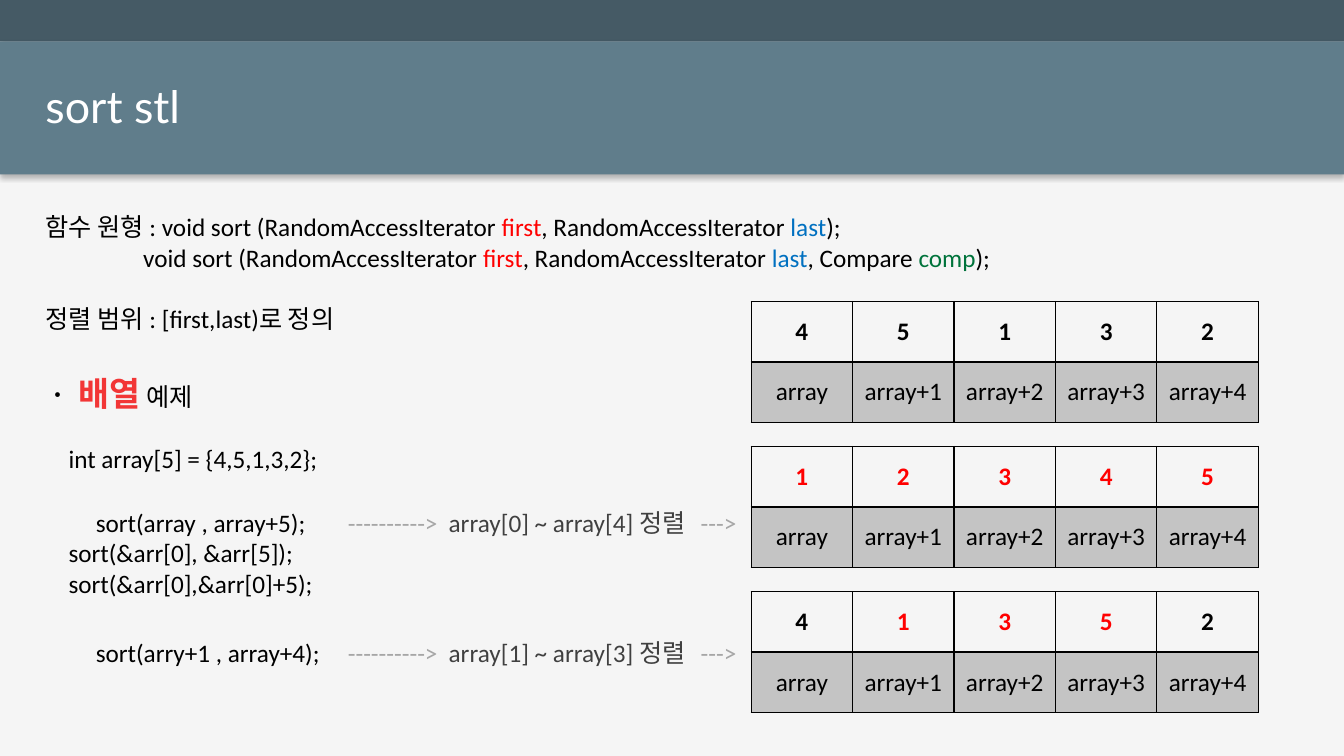
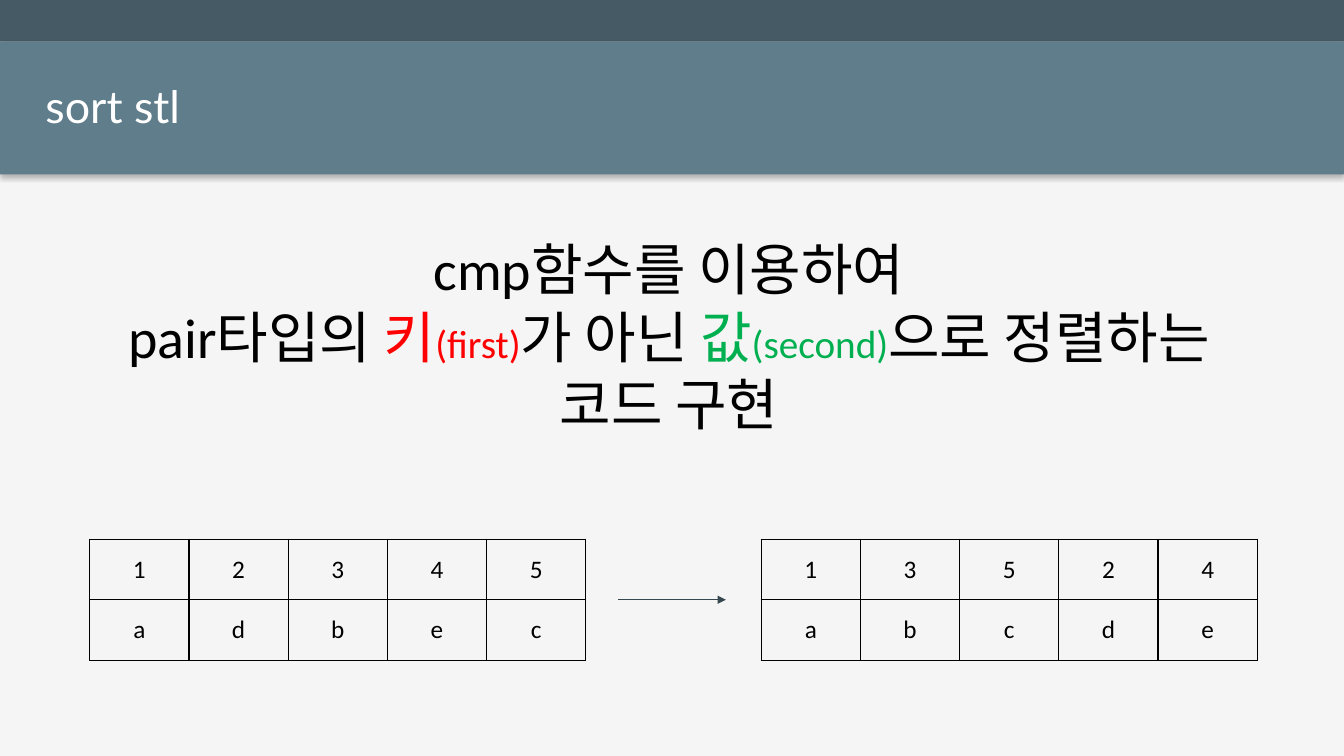
from dataclasses import dataclass

from lxml import etree
from pptx import Presentation
from pptx.dml.color import RGBColor
from pptx.enum.shapes import MSO_CONNECTOR, MSO_SHAPE
from pptx.enum.text import MSO_ANCHOR, MSO_AUTO_SIZE, PP_ALIGN
from pptx.oxml.ns import qn
from pptx.util import Inches, Pt

RECT = MSO_SHAPE.RECTANGLE
STRAIGHT = MSO_CONNECTOR.STRAIGHT
LEFT, CENTER = PP_ALIGN.LEFT, PP_ALIGN.CENTER
TOP, MIDDLE = MSO_ANCHOR.TOP, MSO_ANCHOR.MIDDLE
NO_AUTOFIT = MSO_AUTO_SIZE.NONE


@dataclass(frozen=True)
class Theme:
    background: str = "F5F5F5"
    top_band: str = "455A65"
    title_band: str = "607D8B"
    white: str = "FFFFFF"
    black: str = "000000"
    red: str = "FF0000"
    bright_red: str = "F23636"
    blue: str = "0070C0"
    dark_green: str = "00733B"
    green: str = "00B050"
    pale_gray: str = "A6A6A6"
    dark_gray: str = "404040"
    cell_gray: str = "C4C4C4"
    arrow: str = "37474F"
    title_font: str = "Lato"
    body_font: str = "Calibri"
    title_size: int = 32
    body_size: int = 18
    key_size: int = 24
    note_size: int = 28
    task_size: int = 40


T = Theme()


@dataclass(frozen=True)
class Span:
    text: str
    color: str | None = None
    size: int | None = None
    bold: bool | None = None


@dataclass(frozen=True)
class Line:
    spans: tuple[Span, ...]
    before: float = 0
    margin: float = 0
    hanging: float = 0
    tabs: tuple[float, ...] = ()
    bullet: str = ""
    size: int = T.body_size
    align: PP_ALIGN = LEFT


@dataclass(frozen=True)
class Grid:
    left: float
    top: float
    width: float
    rows: tuple[tuple[str, ...], ...]
    row_height: float = 0.6
    red_values: str = ""
    indexed: bool = False  # bold values above a shaded row of addresses


def rgb(color: str) -> RGBColor:
    return RGBColor.from_string(color)


def sub(parent, tag: str, **attrs):
    return etree.SubElement(parent, qn(tag), {k: str(v) for k, v in attrs.items()})


def place(sp, left: float, top: float, width: float, height: float) -> None:
    sp.left, sp.top = Inches(left), Inches(top)
    sp.width, sp.height = Inches(width), Inches(height)


def style_font(font, name: str, size: int, color: str) -> None:
    font.name, font.size = name, Pt(size)
    font.color.rgb = rgb(color)


def add_shared_bands(slide) -> None:
    """Draw the two header bands and move them behind the layout's title."""
    title = slide.slide_layout.placeholders[0].element
    for top, height, color in ((0, 0.41, T.top_band), (0.41, 1.32, T.title_band)):
        sp = slide.shapes.add_shape(
            RECT, 0, Inches(top), Inches(13.33), Inches(height))
        sp.fill.solid()
        sp.fill.fore_color.rgb = rgb(color)
        sp.line.fill.background()
        sp.shadow.inherit = False
        effects = sp.element.spPr.find(qn("a:effectLst"))
        shadow = sub(effects, "a:outerShdw", blurRad=Pt(4), dist=Pt(2),
                     dir=90 * 60000, algn="t", rotWithShape=0)
        shade = sub(shadow, "a:srgbClr", val=T.black)
        sub(shade, "a:alpha", val=30000)
        title.addprevious(sp.element)


def set_title(slide, text: str) -> None:
    sp = slide.shapes.title
    place(sp, 0.35, 0.73, 12.4, 0.64)
    tf = sp.text_frame
    tf.auto_size, tf.vertical_anchor = NO_AUTOFIT, MIDDLE
    tf.text = text
    p = tf.paragraphs[0]
    p.alignment = LEFT
    style_font(p.font, T.title_font, T.title_size, T.white)


def format_line(p, line: Line) -> None:
    """Set spacing, indents, bullet and tab stops, in schema order."""
    p.alignment = line.align
    p.line_spacing = 1.0
    p.space_before, p.space_after = Pt(line.before), Pt(0)
    ppr = p._p.get_or_add_pPr()
    ppr.set("marL", str(Inches(line.margin)))
    ppr.set("indent", str(-Inches(line.hanging)))
    if line.bullet:
        sub(sub(ppr, "a:buClr"), "a:srgbClr", val=T.black)
        sub(ppr, "a:buFont", typeface=T.body_font)
        sub(ppr, "a:buChar", char=line.bullet)
    else:
        sub(ppr, "a:buNone")
    if line.tabs:
        stops = sub(ppr, "a:tabLst")
        for stop in line.tabs:
            sub(stops, "a:tab", pos=Inches(stop), algn="l")
    style_font(p.font, T.body_font, line.size, T.black)


def set_body(slide, box: tuple[float, float, float, float],
             lines: tuple[Line, ...]) -> None:
    sp = slide.placeholders[1]
    place(sp, *box)
    tf = sp.text_frame
    tf.word_wrap, tf.auto_size, tf.vertical_anchor = True, NO_AUTOFIT, TOP
    for i, line in enumerate(lines):
        p = tf.add_paragraph() if i else tf.paragraphs[0]
        format_line(p, line)
        for span in line.spans:
            r = p.add_run()
            r.text = span.text
            if span.color:
                r.font.color.rgb = rgb(span.color)
            if span.size:
                r.font.size = Pt(span.size)
            if span.bold is not None:
                r.font.bold = span.bold


def set_borders(cell, top: float, bottom: float) -> None:
    tcpr = cell._tc.get_or_add_tcPr()
    for side, width in (("L", 1), ("R", 1), ("T", top), ("B", bottom)):
        ln = sub(tcpr, f"a:ln{side}", w=Pt(width))
        sub(sub(ln, "a:solidFill"), "a:srgbClr", val=T.black)


def add_grid(slide, grid: Grid) -> None:
    n_rows, n_cols = len(grid.rows), len(grid.rows[0])
    table = slide.shapes.add_table(
        n_rows, n_cols, Inches(grid.left), Inches(grid.top),
        Inches(grid.width), Inches(grid.row_height * n_rows)).table
    table.first_row = table.horz_banding = False
    divider = 2 if grid.indexed else 1
    for i, values in enumerate(grid.rows):
        for j, value in enumerate(values):
            cell = table.cell(i, j)
            set_borders(cell, divider if i else 1, 1 if i else divider)
            if grid.indexed and i:
                cell.fill.solid()
                cell.fill.fore_color.rgb = rgb(T.cell_gray)
            else:
                cell.fill.background()
            cell.vertical_anchor = MIDDLE
            cell.text = value
            p = cell.text_frame.paragraphs[0]
            p.alignment = CENTER
            color = T.red if value in grid.red_values else T.black
            style_font(p.font, T.body_font, T.body_size, color)
            p.font.bold = grid.indexed and i == 0


def add_arrow(slide, x1: float, x2: float, y: float) -> None:
    line = slide.shapes.add_connector(
        STRAIGHT, Inches(x1), Inches(y), Inches(x2), Inches(y))
    line.line.color.rgb = rgb(T.arrow)
    line.line.width = Pt(0.5)
    sub(line.line._get_or_add_ln(), "a:tailEnd", type="triangle")
    sub(line.element.spPr, "a:effectLst")


def signature(lead: str) -> tuple[Span, ...]:
    return (Span(f"{lead}void sort (RandomAccessIterator "), Span("first", T.red),
            Span(", RandomAccessIterator "), Span("last", T.blue))


def explained(code: str, result: str) -> tuple[Span, ...]:
    """A call, an arrow to its meaning and an arrow to its table."""
    return (Span(f"\t{code}"), Span("\t---------->", T.pale_gray),
            Span(f"\t{result} 정렬", T.dark_gray), Span("\t--->", T.pale_gray))


def build_array_slide(slide) -> None:
    code = 0.23
    set_title(slide, "sort stl")
    set_body(slide, (0.35, 2.05, 12.27, 5.44), (
        Line(signature("함수 원형 : ") + (Span(");"),)),
        Line(signature("") + (Span(", Compare "), Span("comp", T.dark_green),
                              Span(");")), margin=0.97),
        Line((Span("정렬 범위 : [first,last)로 정의"),), before=22),
        Line((Span("배열", T.bright_red, T.key_size, True), Span(" 예제")),
             before=28, margin=0.33, hanging=0.25, bullet="·"),
        Line((Span("int array[5] = {4,5,1,3,2};"),), before=22, margin=code),
        Line(explained("sort(array , array+5);", "array[0] ~ array[4]"),
             before=24, tabs=(code, 2.58, 3.65, 6.33)),
        Line((Span("sort(&arr[0], &arr[5]);"),), margin=code),
        Line((Span("sort(&arr[0],&arr[0]+5);"),), margin=code),
        Line(explained("sort(arry+1 , array+4);", "array[1] ~ array[3]"),
             before=28, tabs=(code, 2.62, 3.73, 6.34)),
    ))
    addresses = ("array",) + tuple(f"array+{i}" for i in range(1, 5))
    states = (("45132", ""), ("12345", "12345"), ("41352", "135"))
    for i, (values, red_values) in enumerate(states):
        add_grid(slide, Grid(7.45, 2.99 + 1.44 * i, 5.03,
                             (tuple(values), addresses),
                             red_values=red_values, indexed=True))


def build_pair_slide(slide) -> None:
    set_title(slide, "sort stl")
    task = (
        (Span("cmp함수를 이용하여"),),
        (Span("pair타입의 "), Span("키", T.red), Span("(first)", T.red, T.note_size),
         Span("가 아닌 "), Span("값", T.green),
         Span("(second)", T.green, T.note_size), Span("으로 정렬하는")),
        (Span("코드 구현"),),
    )
    set_body(slide, (0.13, 2.28, 13.01, 2.12), tuple(
        Line(spans, size=T.task_size, align=CENTER) for spans in task))
    for left, keys, values in ((0.89, "12345", "adbec"), (7.55, "13524", "abcde")):
        add_grid(slide, Grid(left, 5.35, 4.92, (tuple(keys), tuple(values))))
    add_arrow(slide, 6.13, 7.2, 5.95)


def main() -> None:
    prs = Presentation()
    prs.slide_width, prs.slide_height = Inches(13.33), Inches(7.5)
    fill = prs.slide_master.background.fill
    fill.solid()
    fill.fore_color.rgb = rgb(T.background)
    layout = prs.slide_layouts[1]
    builders = (build_array_slide, build_pair_slide)
    slides = [prs.slides.add_slide(layout) for _ in builders]
    add_shared_bands(slides[0])
    for slide, build in zip(slides, builders):
        build(slide)
    prs.save("out.pptx")


if __name__ == "__main__":
    main()
